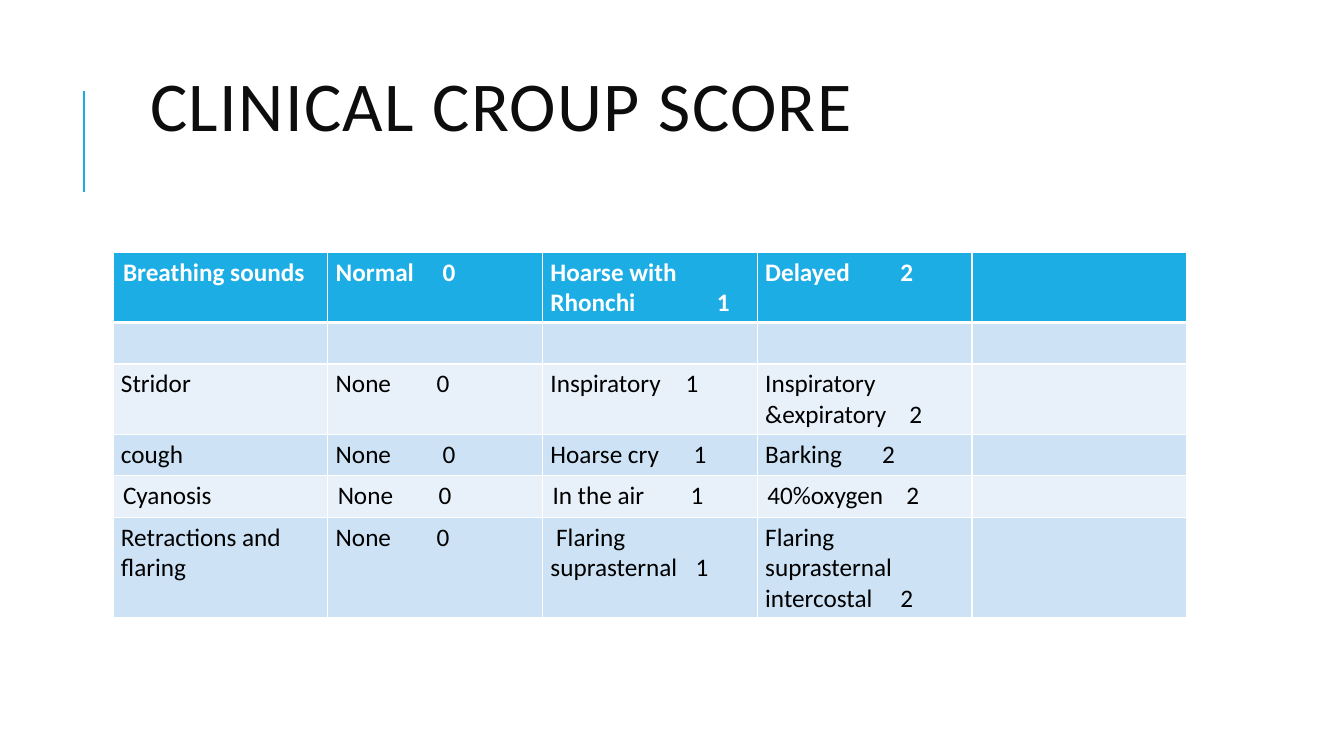
"""Build the clinical croup score slide: a title, an accent line and a score table."""
from lxml import etree
from pptx import Presentation
from pptx.dml.color import RGBColor
from pptx.enum.shapes import MSO_CONNECTOR
from pptx.enum.text import MSO_ANCHOR
from pptx.oxml.ns import qn
from pptx.util import Pt

PX = 9144
STRAIGHT = MSO_CONNECTOR.STRAIGHT
MIDDLE = MSO_ANCHOR.MIDDLE
WHITE = RGBColor(0xFF, 0xFF, 0xFF)
BLACK = RGBColor(0x00, 0x00, 0x00)
TITLE_INK = RGBColor(0x0D, 0x0D, 0x0D)
ACCENT = RGBColor(0x1C, 0xAD, 0xE4)
BAND_DARK = RGBColor(0xCD, 0xE3, 0xF5)
BAND_LIGHT = RGBColor(0xE8, 0xF1, 0xFA)

COLUMN_WIDTH, ROW_HEIGHT = 213, 41
WIDE_INSET, NARROW_INSET = 10, 8
ROWS = [
    [("Breathing sounds", 0), ("Normal\t0", 106), ("Hoarse with Rhonchi\t1", 165), ("Delayed\t2", 134), ("", 0)],
    [("", 0)] * 5,
    [("Stridor", 0), ("None\t0", 100), ("Inspiratory\t1", 134), ("Inspiratory &expiratory\t2", 143), ("", 0)],
    [("cough", 0), ("None\t0", 106), ("Hoarse cry\t1", 142), ("Barking\t2", 116), ("", 0)],
    [("Cyanosis", 0), ("None\t0", 100), ("In the air\t1", 137), ("40%oxygen\t2", 138), ("", 0)],
    [("Retractions and flaring", 0), ("None\t0", 100), (" Flaring suprasternal\t1", 144),
     ("Flaring suprasternal intercostal\t2", 134), ("", 0)],
]
CYANOSIS_ROW = 4


def write_text(frame, text, *, size=18, color=BLACK, bold=False, tab=0, spacing=0, line_spacing=1.0):
    frame.word_wrap = True
    para = frame.paragraphs[0]
    para.line_spacing = line_spacing
    if tab:
        tabs = etree.SubElement(para._p.get_or_add_pPr(), qn("a:tabLst"))
        etree.SubElement(tabs, qn("a:tab"), pos=str(tab * PX), algn="l")
    para.font.size = Pt(size)
    if text:
        span = para.add_run()
        span.text = text
        span.font.name = "Calibri"
        span.font.size = Pt(size)
        span.font.bold = bold
        span.font.color.rgb = color
        if spacing:
            span._r.get_or_add_rPr().set("spc", str(spacing * 100))


def add_border(cell, side, width):
    line = etree.SubElement(cell._tc.get_or_add_tcPr(), qn(f"a:ln{side}"), w=str(Pt(width)))
    fill = etree.SubElement(line, qn("a:solidFill"))
    etree.SubElement(fill, qn("a:srgbClr"), val=str(WHITE))


deck = Presentation()
deck.slide_width, deck.slide_height = 1333 * PX, 750 * PX
page = deck.slides.add_slide(deck.slide_layouts[6])

accent_line = page.shapes.add_connector(STRAIGHT, 83 * PX, 190 * PX, 83 * PX, 90 * PX)
accent_line.line.color.rgb = ACCENT
accent_line.line.width = Pt(1.5)
etree.SubElement(accent_line._element.spPr, qn("a:effectLst"))

title = page.shapes.add_textbox(139 * PX, 64 * PX, 1036 * PX, 92 * PX)
title.text_frame.vertical_anchor = MIDDLE
write_text(title.text_frame, "CLINICAL CROUP SCORE", size=50, color=TITLE_INK, spacing=1, line_spacing=0.8)

row_count, column_count = len(ROWS), len(ROWS[0])
score_table = page.shapes.add_table(
    row_count, column_count, 112 * PX, 250 * PX,
    column_count * COLUMN_WIDTH * PX, row_count * ROW_HEIGHT * PX).table

for row_index, row in enumerate(ROWS):
    is_header = row_index == 0
    band = ACCENT if is_header else BAND_DARK if row_index % 2 else BAND_LIGHT
    for column_index, (text, tab) in enumerate(row):
        cell = score_table.cell(row_index, column_index)
        is_wide = row_index == CYANOSIS_ROW or (is_header and column_index == 0)
        inset = WIDE_INSET if is_wide else NARROW_INSET
        cell.margin_left = cell.margin_right = inset * PX
        cell.margin_top = cell.margin_bottom = 5 * PX
        add_border(cell, "L", 1)
        add_border(cell, "R", 1)
        add_border(cell, "T", 3 if row_index == 1 else 1)
        add_border(cell, "B", 3 if is_header else 1)
        cell.fill.solid()
        cell.fill.fore_color.rgb = band
        write_text(cell.text_frame, text, color=WHITE if is_header else BLACK, bold=is_header, tab=tab)

deck.save("out.pptx")
